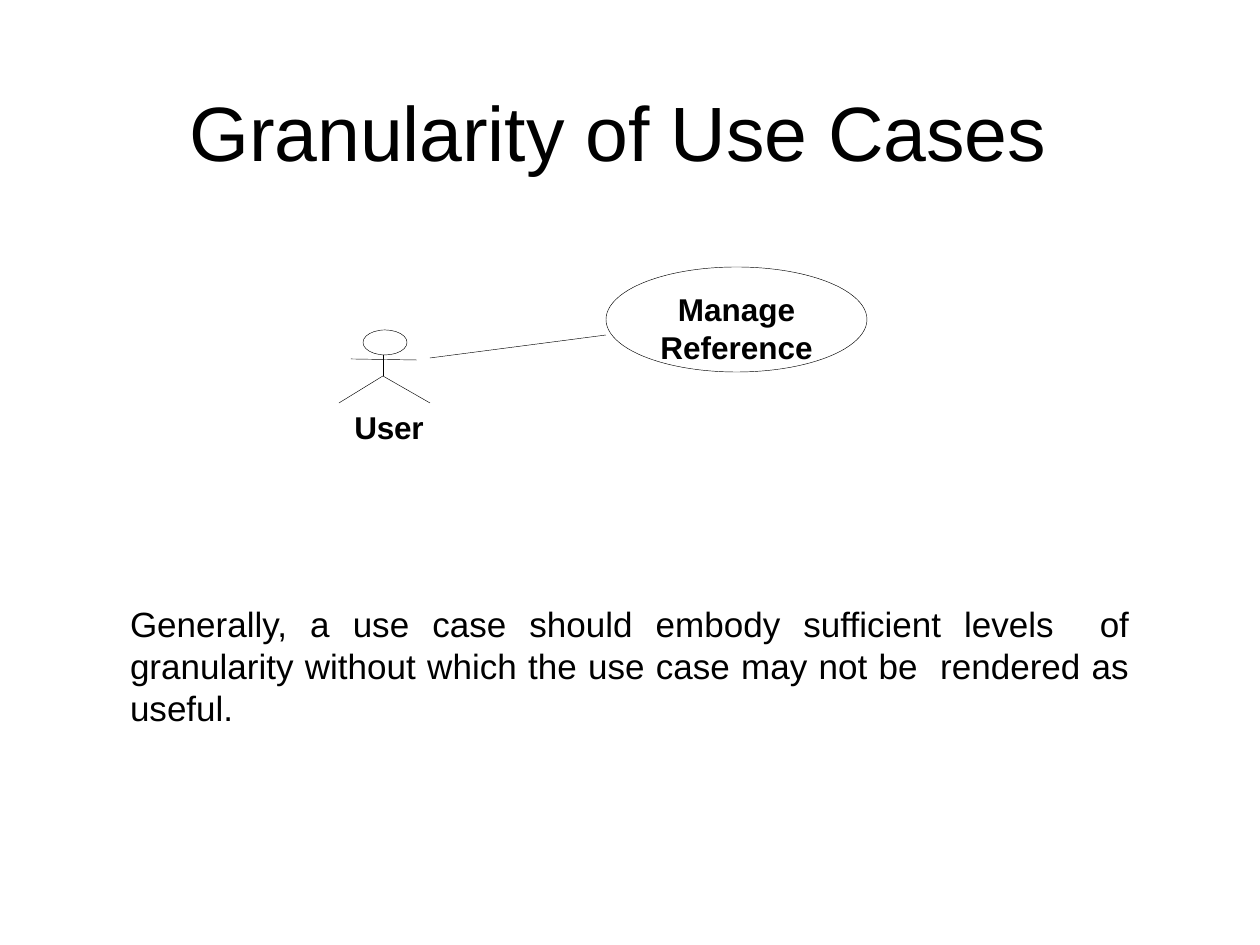
from lxml import etree
from pptx import Presentation
from pptx.dml.color import RGBColor
from pptx.enum.shapes import MSO_CONNECTOR, MSO_SHAPE
from pptx.enum.text import MSO_ANCHOR, PP_ALIGN
from pptx.oxml.ns import qn
from pptx.util import Pt

EMU_PER_PX = 914400 / 126
BLACK = RGBColor(0x00, 0x00, 0x00)
STRAIGHT = MSO_CONNECTOR.STRAIGHT
OVAL = MSO_SHAPE.OVAL
TOP, MIDDLE = MSO_ANCHOR.TOP, MSO_ANCHOR.MIDDLE
LEFT, CENTER, JUSTIFY = PP_ALIGN.LEFT, PP_ALIGN.CENTER, PP_ALIGN.JUSTIFY

TITLE_FONT = {"name": "Arial", "size": Pt(44)}
LABEL_FONT = {"name": "Arial", "size": Pt(18), "bold": True}
BODY_FONT = {"name": "Arial", "size": Pt(20)}
FRAME = {"margin_left": 0, "margin_right": 0, "margin_top": 0,
         "margin_bottom": 0, "word_wrap": True}


def px(*lengths):
    return [round(length * EMU_PER_PX) for length in lengths]


def set_all(target, values):
    for name, value in values.items():
        setattr(target, name, value)


def add_text(page, box, text, font, align=LEFT, anchor=TOP, spacing=0):
    frame = page.shapes.add_textbox(*px(*box)).text_frame
    set_all(frame, FRAME)
    frame.vertical_anchor = anchor
    para = frame.paragraphs[0]
    para.alignment = align
    span = para.add_run()
    span.text = text
    set_all(span.font, font)
    span.font.color.rgb = BLACK
    if spacing:
        span._r.get_or_add_rPr().set("spc", str(spacing))


def set_outline(shape):
    shape.line.color.rgb = BLACK
    shape.line.width = Pt(0.25)


def add_line(page, start, end):
    line = page.shapes.add_connector(STRAIGHT, *px(*start, *end))
    set_outline(line)
    etree.SubElement(line._element.spPr, qn("a:effectLst"))


def add_oval(page, box):
    oval = page.shapes.add_shape(OVAL, *px(*box))
    oval.shadow.inherit = False
    oval.fill.background()
    set_outline(oval)


def add_actor(page, box, name):
    left, top, width, height = box
    neck, hip = (left + 44, top + 25), (left + 44, top + 46)
    foot = top + 73
    add_oval(page, (left + 24, top, 44, 25))
    add_line(page, neck, hip)
    add_line(page, (left + 12, top + 29), (left + 78, top + 30))
    legs = page.shapes.build_freeform(*px(left, foot), scale=1.0)
    legs.add_line_segments([px(*hip), px(left + width, foot)], close=False)
    shape = legs.convert_to_shape()
    shape.shadow.inherit = False
    shape.fill.background()
    set_outline(shape)
    add_text(page, (left + 10, top + 78, width - 11, height - 78), name,
             LABEL_FONT, CENTER, spacing=-10)


def add_use_case(page, box, name):
    left, top, width, height = box
    add_oval(page, box)
    add_text(page, (left + 45, top + 23, width - 90, height - 27), name,
             LABEL_FONT, CENTER)


def add_diagram(page, box):
    left, top, width, height = box
    add_use_case(page, (left + 267, top, 261, 105), "Manage Reference")
    add_actor(page, (left, top + 63, 91, 116), "User")
    add_line(page, (left + 267, top + 68), (left + 91, top + 91))


def main():
    deck = Presentation()
    deck.slide_width, deck.slide_height = px(1260, 945)
    page = deck.slides.add_slide(deck.slide_layouts[6])
    add_text(page, (63, 54, 1110, 154), "Granularity of Use Cases",
             TITLE_FONT, CENTER, MIDDLE, -10)
    add_diagram(page, (339, 267, 528, 179))
    add_text(page, (130, 602, 1000, 126),
             "Generally, a use case should embody sufficient levels  of "
             "granularity without which the use case may not be  rendered "
             "as useful.", BODY_FONT, JUSTIFY)
    deck.save("out.pptx")


if __name__ == "__main__":
    main()
